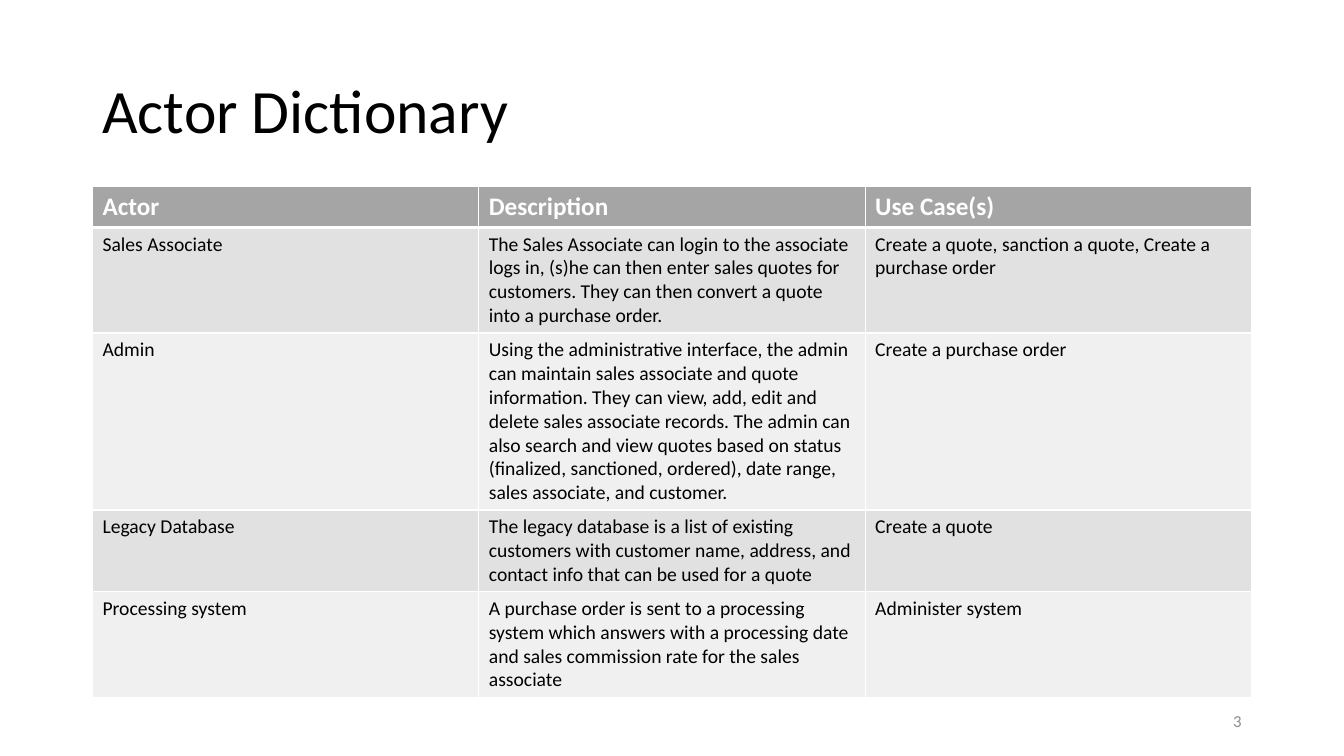
from dataclasses import dataclass

from lxml.etree import SubElement
from pptx import Presentation
from pptx.dml.color import RGBColor
from pptx.enum.text import MSO_ANCHOR as Anchor, PP_ALIGN as Align
from pptx.oxml.ns import qn
from pptx.slide import Slide
from pptx.table import _Cell as Cell
from pptx.text.text import _Paragraph as Paragraph
from pptx.util import Cm, Pt

FONT = "Calibri"
COLORS = {
    "text": "000000",
    "white": "FFFFFF",
    "header": "A5A5A5",
    "odd": "E1E1E1",
    "even": "F0F0F0",
    "number": "8C8C8C",
}
LEFT, WIDTH = 2.33, 29.21


@dataclass(frozen=True)
class Label:
    text: str
    left: float
    top: float
    width: float
    height: float
    size: int
    color: str
    align: Align = Align.LEFT
    spacing: float = 1.0


@dataclass(frozen=True)
class Row:
    actor: str
    description: str
    use_cases: str
    height: float


LABELS = [
    Label("Actor Dictionary", LEFT, 1.01, WIDTH, 3.68, 44, "text", spacing=0.9),
    Label("3", 23.92, 17.66, 7.62, 1.01, 12, "number", Align.RIGHT),
]

ROWS = [
    Row("Actor", "Description", "Use Case(s)", 1.03),
    Row(
        "Sales Associate",
        "The Sales Associate can login to the associate logs in, (s)he can then "
        "enter sales quotes for customers. They can then convert a quote into a "
        "purchase order.",
        "Create a quote, sanction a quote, Create a purchase order",
        2.66,
    ),
    Row(
        "Admin",
        "Using the administrative interface, the admin can maintain sales associate "
        "and quote information. They can view, add, edit and delete sales associate "
        "records. The admin can also search and view quotes based on status "
        "(finalized, sanctioned, ordered), date range, sales associate, and customer.",
        "Create a purchase order",
        4.46,
    ),
    Row(
        "Legacy Database",
        "The legacy database is a list of existing customers with customer name, "
        "address, and contact info that can be used for a quote",
        "Create a quote",
        2.06,
    ),
    Row(
        "Processing system",
        "A purchase order is sent to a processing system which answers with a "
        "processing date and sales commission rate for the sales associate",
        "Administer system",
        2.66,
    ),
]


def rgb(name: str) -> RGBColor:
    return RGBColor.from_string(COLORS[name])


def style(p: Paragraph, size: int, color: str, bold: bool = False) -> None:
    p.font.name = FONT
    p.font.size = Pt(size)
    p.font.bold = bold
    p.font.color.rgb = rgb(color)


def add_label(s: Slide, label: Label) -> None:
    box = s.shapes.add_textbox(
        Cm(label.left), Cm(label.top), Cm(label.width), Cm(label.height)
    )
    tf = box.text_frame
    tf.word_wrap = True
    tf.vertical_anchor = Anchor.MIDDLE
    p = tf.paragraphs[0]
    p.text = label.text
    p.alignment = label.align
    p.line_spacing = label.spacing
    style(p, label.size, label.color)


def set_borders(cell: Cell, top: float, bottom: float) -> None:
    props = cell._tc.get_or_add_tcPr()
    widths = {"lnL": 1, "lnR": 1, "lnT": top, "lnB": bottom}
    for side, width in widths.items():
        line = SubElement(props, qn(f"a:{side}"), w=str(Pt(width)))
        fill = SubElement(line, qn("a:solidFill"))
        SubElement(fill, qn("a:srgbClr"), val=COLORS["white"])


def fill_cell(cell: Cell, text: str, row: int) -> None:
    is_header = row == 0
    set_borders(cell, 3 if row == 1 else 1, 3 if is_header else 1)
    cell.fill.solid()
    band = "odd" if row % 2 else "even"
    cell.fill.fore_color.rgb = rgb("header" if is_header else band)
    p = cell.text_frame.paragraphs[0]
    p.text = text
    if is_header:
        style(p, 18, "white", True)
    else:
        style(p, 14, "text")


def add_actor_table(s: Slide, rows: list[Row]) -> None:
    height = sum(row.height for row in rows)
    frame = s.shapes.add_table(
        len(rows), 3, Cm(LEFT), Cm(4.7), Cm(WIDTH), Cm(height)
    )
    table = frame.table
    for i, row in enumerate(rows):
        table.rows[i].height = Cm(row.height)
        for j, text in enumerate((row.actor, row.description, row.use_cases)):
            fill_cell(table.cell(i, j), text, i)


prs = Presentation()
prs.slide_width, prs.slide_height = Cm(33.87), Cm(19.05)
s = prs.slides.add_slide(prs.slide_layouts[6])
for label in LABELS:
    add_label(s, label)
add_actor_table(s, ROWS)
prs.save("out.pptx")
